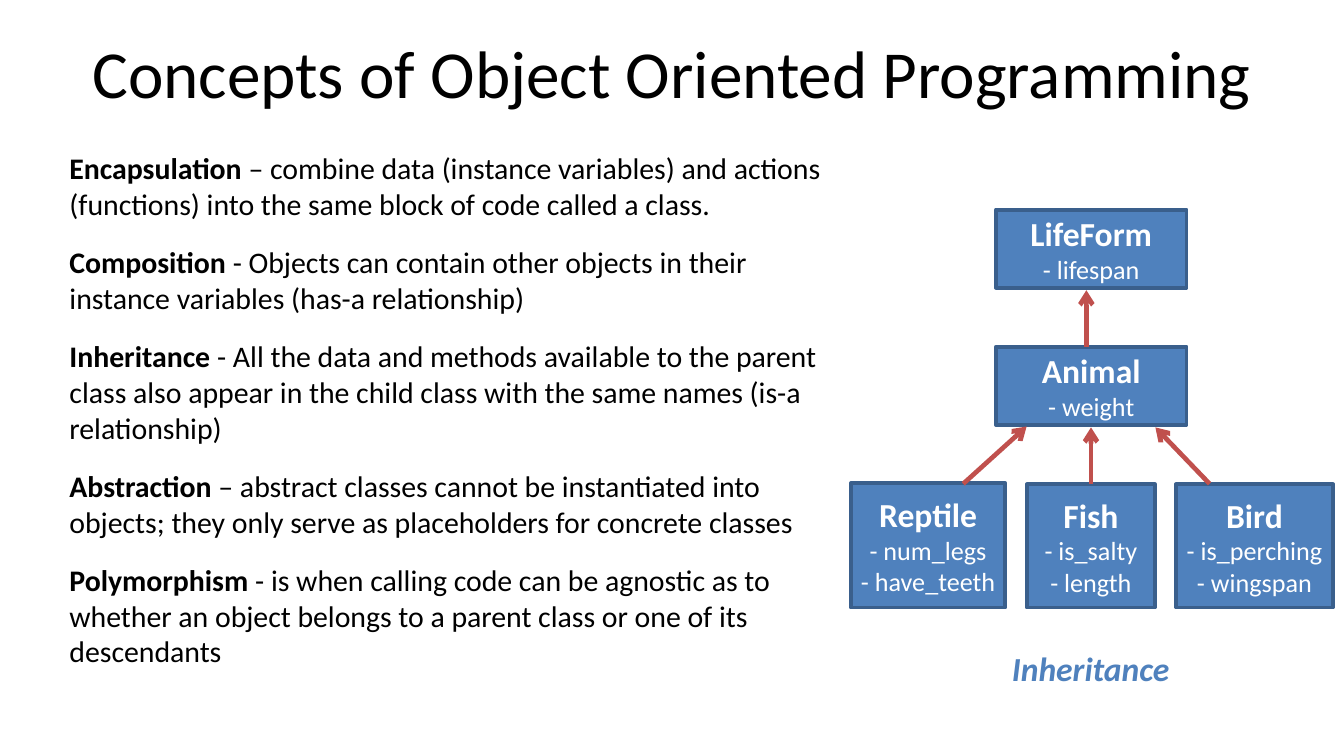
import pptx
import pptx.dml.color
import pptx.enum.shapes
import pptx.enum.text
import pptx.oxml.ns
import pptx.util
from lxml import etree

Pt = pptx.util.Pt
RGBColor = pptx.dml.color.RGBColor
MSO_ANCHOR = pptx.enum.text.MSO_ANCHOR
MSO_AUTO_SIZE = pptx.enum.text.MSO_AUTO_SIZE
PP_ALIGN = pptx.enum.text.PP_ALIGN
qn = pptx.oxml.ns.qn

BLACK = RGBColor(0x00, 0x00, 0x00)
WHITE = RGBColor(0xFF, 0xFF, 0xFF)
BLUE = RGBColor(0x4F, 0x81, 0xBD)
DARK_BLUE = RGBColor(0x3A, 0x5F, 0x8C)
RED = RGBColor(0xC0, 0x50, 0x4D)
FONT = "Calibri"

CONCEPTS = [
    ("Encapsulation ", "– combine data (instance variables) and actions "
     "(functions) into the same block of code called a class."),
    ("Composition", " - Objects can contain other objects in their "
     "instance variables (has-a relationship)"),
    ("Inheritance", " - All the data and methods available to the parent "
     "class also appear in the child class with the same names "
     "(is-a relationship)"),
    ("Abstraction ", "– abstract classes cannot be instantiated into "
     "objects; they only serve as placeholders for concrete classes"),
    ("Polymorphism", " - is when calling code can be agnostic as to "
     "whether an object belongs to a parent class or one of its "
     "descendants"),
]
CLASSES = [
    ("LifeForm", ["lifespan"], (533.5, 112.3, 102.2, 41.8)),
    ("Animal", ["weight"], (533.5, 185.8, 102.2, 41.8)),
    ("Reptile", ["num_legs", "have_teeth"], (455.8, 258.9, 82.8, 66.6)),
    ("Fish", ["is_salty", "length"], (550.1, 259.5, 68.7, 66)),
    ("Bird", ["is_perching", "wingspan"], (630, 259.5, 84.2, 66)),
]
ARROWS = [
    (582, 185.8, 582, 155.5),
    (516, 259.2, 550, 228.5),
    (584.5, 259.2, 584.5, 229),
    (648, 259.2, 619, 229),
]


def add_run(p, text, size, color, bold=False, italic=False):
    r = p.add_run()
    r.text = text
    r.font.name = FONT
    r.font.size = Pt(size)
    r.font.color.rgb = color
    r.font.bold = bold
    r.font.italic = italic


def place(s, left, top, width, height):
    s.left, s.top, s.width, s.height = Pt(left), Pt(top), Pt(width), Pt(height)
    s.text_frame.auto_size = MSO_AUTO_SIZE.NONE


def set_title(s, text):
    place(s, 36, 4.5, 648, 67.5)
    s.text_frame.vertical_anchor = MSO_ANCHOR.MIDDLE
    p = s.text_frame.paragraphs[0]
    p.alignment = PP_ALIGN.CENTER
    add_run(p, text, 36, BLACK)


def set_concepts(s):
    place(s, 30, 76.5, 420, 300)
    tf = s.text_frame
    for i, (term, meaning) in enumerate(CONCEPTS):
        p = tf.add_paragraph() if i else tf.paragraphs[0]
        p.space_before = Pt(12)
        pPr = p._p.get_or_add_pPr()
        pPr.set("marL", "0")
        pPr.set("indent", "0")
        etree.SubElement(pPr, qn("a:buNone"))
        add_run(p, term, 16, BLACK, bold=True)
        add_run(p, meaning, 16, BLACK)


def add_class(slide, name, fields, box):
    s = slide.shapes.add_shape(
        pptx.enum.shapes.MSO_SHAPE.RECTANGLE, *map(Pt, box))
    s.shadow.inherit = False
    s.fill.solid()
    s.fill.fore_color.rgb = BLUE
    s.line.color.rgb = DARK_BLUE
    s.line.width = Pt(2)
    tf = s.text_frame
    tf.margin_left = tf.margin_right = tf.margin_top = tf.margin_bottom = 0
    tf.vertical_anchor = MSO_ANCHOR.MIDDLE
    p = tf.paragraphs[0]
    p.alignment = PP_ALIGN.CENTER
    add_run(p, name, 18, WHITE, bold=True)
    for field in fields:
        p.add_line_break()
        add_run(p, "- " + field, 14, WHITE)


def add_arrow(slide, ends):
    s = slide.shapes.add_connector(
        pptx.enum.shapes.MSO_CONNECTOR.STRAIGHT, *map(Pt, ends))
    s.line.color.rgb = RED
    s.line.width = Pt(2.5)
    spPr = s._element.spPr
    etree.SubElement(spPr.find(qn("a:ln")), qn("a:tailEnd"), type="arrow")
    etree.SubElement(spPr, qn("a:effectLst"))


def add_caption(slide, text):
    s = slide.shapes.add_textbox(Pt(535), Pt(343.5), Pt(100), Pt(29))
    tf = s.text_frame
    tf.word_wrap = False
    tf.auto_size = MSO_AUTO_SIZE.SHAPE_TO_FIT_TEXT
    add_run(tf.paragraphs[0], text, 18, BLUE, bold=True, italic=True)


def main():
    prs = pptx.Presentation()
    prs.slide_width, prs.slide_height = Pt(720), Pt(405)
    slide = prs.slides.add_slide(prs.slide_layouts[1])
    set_title(slide.shapes.title, "Concepts of Object Oriented Programming")
    set_concepts(slide.placeholders[1])
    for name, fields, box in CLASSES:
        add_class(slide, name, fields, box)
    for ends in ARROWS:
        add_arrow(slide, ends)
    add_caption(slide, "Inheritance")
    prs.save("out.pptx")


if __name__ == "__main__":
    main()
